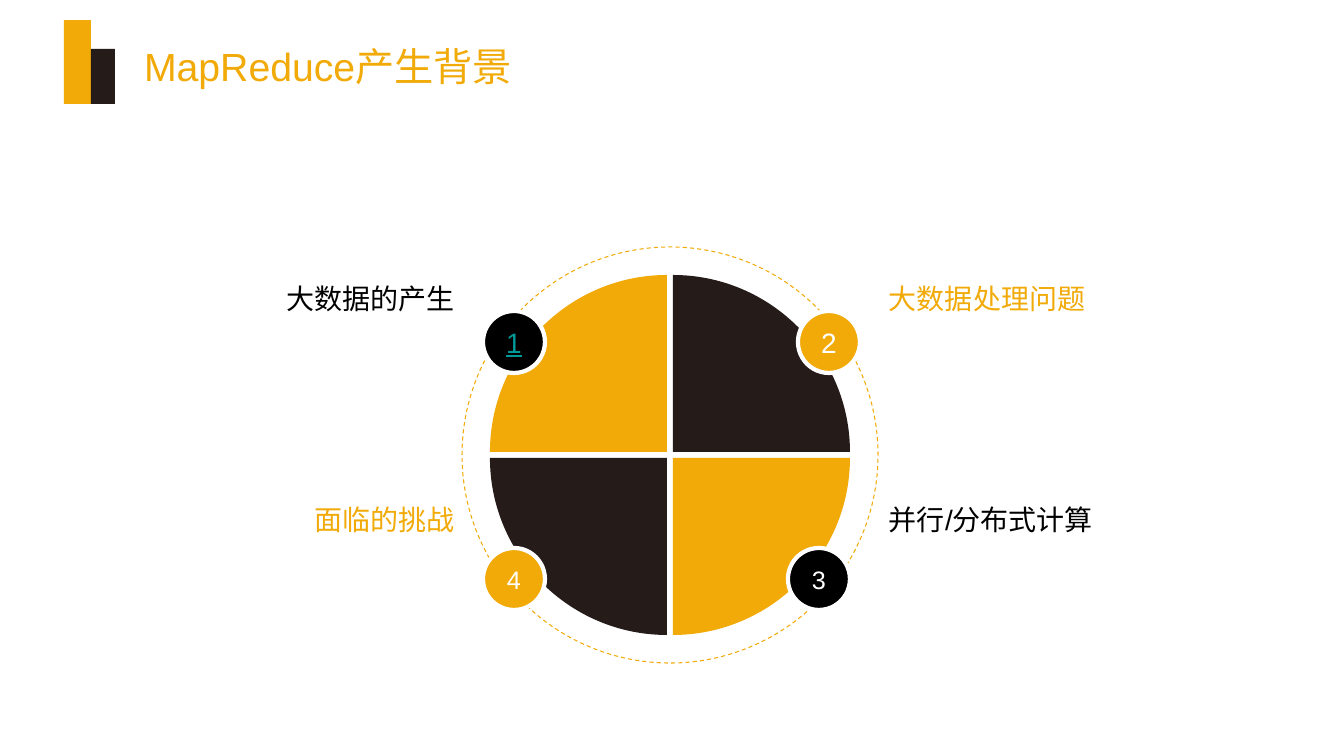
from collections import namedtuple

from lxml import etree
from pptx import Presentation
from pptx import util as u
from pptx.dml.color import RGBColor
from pptx.enum import dml, shapes, text
from pptx.oxml import ns

PX = 914400 / 100.8
Box = namedtuple("Box", "x y w h")
Part = namedtuple("Part", "number label col row fill badge_fill badge_x size number_color underline")

COLORS = {"gold": "F1AA07", "dark": "251C1A", "black": "000000",
          "white": "FFFFFF", "teal": "009999"}
QUADRANT, GAP, ARC_HANDLE = 177, 6, 0.55
BADGE, BADGE_TOPS = 62, (64, 301)
LABEL_TOPS, LABEL_HEIGHT, LABEL_WIDTHS = (30, 251), 57, (368, 360)

PARTS = [
    Part("1", "大数据的产生", 0, 0, "gold", "black", 21, 20, "teal", True),
    Part("2", "大数据处理问题", 1, 0, "dark", "gold", 336, 20, "white", None),
    Part("3", "并行/分布式计算", 1, 1, "gold", "black", 326, 18, "white", None),
    Part("4", "面临的挑战", 0, 1, "dark", "gold", 21, 18, "white", None),
]


def px(length):
    return u.Emu(round(length * PX))


def emu(box):
    return [px(length) for length in box]


def rgb(name):
    return RGBColor.from_string(COLORS[name])


def paint(shape, fill=None, line=None, width=0):
    shape.shadow.inherit = False
    if fill:
        shape.fill.solid()
        shape.fill.fore_color.rgb = rgb(fill)
    else:
        shape.fill.background()
    if line:
        shape.line.color.rgb = rgb(line)
        shape.line.width = u.Pt(width)
    else:
        shape.line.fill.background()


def write(shape, words, color, size, align, frame_format, underline=None):
    frame = shape.text_frame
    for name, value in frame_format.items():
        setattr(frame, name, value)
    paragraph = frame.paragraphs[0]
    paragraph.alignment = align
    run = paragraph.add_run()
    run.text = words
    run_format = {"name": "Arial", "size": u.Pt(size), "underline": underline}
    for name, value in run_format.items():
        setattr(run.font, name, value)
    run.font.color.rgb = rgb(color)


def add_header(slide, box):
    bars = [("gold", Box(box.x, box.y, 27, 84)),
            ("dark", Box(box.x + 27, box.y + 29, 24, 55))]
    for color, bar_box in bars:
        bar = slide.shapes.add_shape(shapes.MSO_SHAPE.RECTANGLE, *emu(bar_box))
        paint(bar, color)
    title = slide.shapes.title
    place = Box(box.x + 70, box.y + 3, box.w - 70, box.h)
    for name, value in zip(("left", "top", "width", "height"), emu(place)):
        setattr(title, name, value)
    write(title, "MapReduce产生背景", "gold", 28, text.PP_ALIGN.LEFT,
          {"vertical_anchor": text.MSO_ANCHOR.MIDDLE, "word_wrap": True,
           "auto_size": text.MSO_AUTO_SIZE.NONE})


def bend_first_side(shape, handles):
    """Turn the first straight side of a freeform into a Bézier curve."""
    side = shape.element.find(".//" + ns.qn("a:lnTo"))
    side.tag = ns.qn("a:cubicBezTo")
    for index, (x, y) in enumerate(handles):
        point = etree.Element(ns.qn("a:pt"), x=str(x - shape.left), y=str(y - shape.top))
        side.insert(index, point)


def add_quadrant(slide, box, part):
    """Draw a quarter disc, its straight sides parted from the centre by half the gap."""
    right, down = 2 * part.col - 1, 2 * part.row - 1
    corner_x = box.x + box.w / 2 + right * GAP / 2
    corner_y = box.y + box.h / 2 + down * GAP / 2

    def at(across, along):
        return (px(corner_x + right * QUADRANT * across),
                px(corner_y + down * QUADRANT * along))

    builder = slide.shapes.build_freeform(*at(0, 1))
    builder.add_line_segments([at(1, 0), at(0, 0)], close=True)
    quadrant = builder.convert_to_shape()
    bend_first_side(quadrant, [at(ARC_HANDLE, 1), at(1, ARC_HANDLE)])
    paint(quadrant, part.fill)


def add_badge(slide, box, part):
    place = Box(box.x + part.badge_x, box.y + BADGE_TOPS[part.row], BADGE, BADGE)
    badge = slide.shapes.add_shape(shapes.MSO_SHAPE.OVAL, *emu(place))
    paint(badge, part.badge_fill, "white", 3)
    write(badge, part.number, part.number_color, part.size, text.PP_ALIGN.CENTER,
          {"vertical_anchor": text.MSO_ANCHOR.MIDDLE, "word_wrap": False},
          part.underline)


def add_label(slide, box, part):
    width = LABEL_WIDTHS[part.col]
    left = box.x + box.w + 1 if part.col else box.x + 3 - width
    place = Box(left, box.y + LABEL_TOPS[part.row], width, LABEL_HEIGHT)
    label = slide.shapes.add_textbox(*emu(place))
    align = text.PP_ALIGN.LEFT if part.col else text.PP_ALIGN.RIGHT
    write(label, part.label, part.badge_fill, 20, align, {"word_wrap": True})


def add_wheel(slide, box):
    ring = slide.shapes.add_shape(shapes.MSO_SHAPE.OVAL, *emu(box))
    paint(ring, line="gold", width=0.75)
    ring.line.dash_style = dml.MSO_LINE.DASH
    for add_piece in (add_quadrant, add_badge, add_label):
        for part in PARTS:
            add_piece(slide, box, part)


def main():
    deck = Presentation()
    deck.slide_width, deck.slide_height = px(1344), px(756)
    slide = deck.slides.add_slide(deck.slide_layouts.get_by_name("Title Only"))
    add_header(slide, Box(64, 20, 1075, 85))
    add_wheel(slide, Box(462, 247, 416, 416))
    deck.save("out.pptx")


if __name__ == "__main__":
    main()
